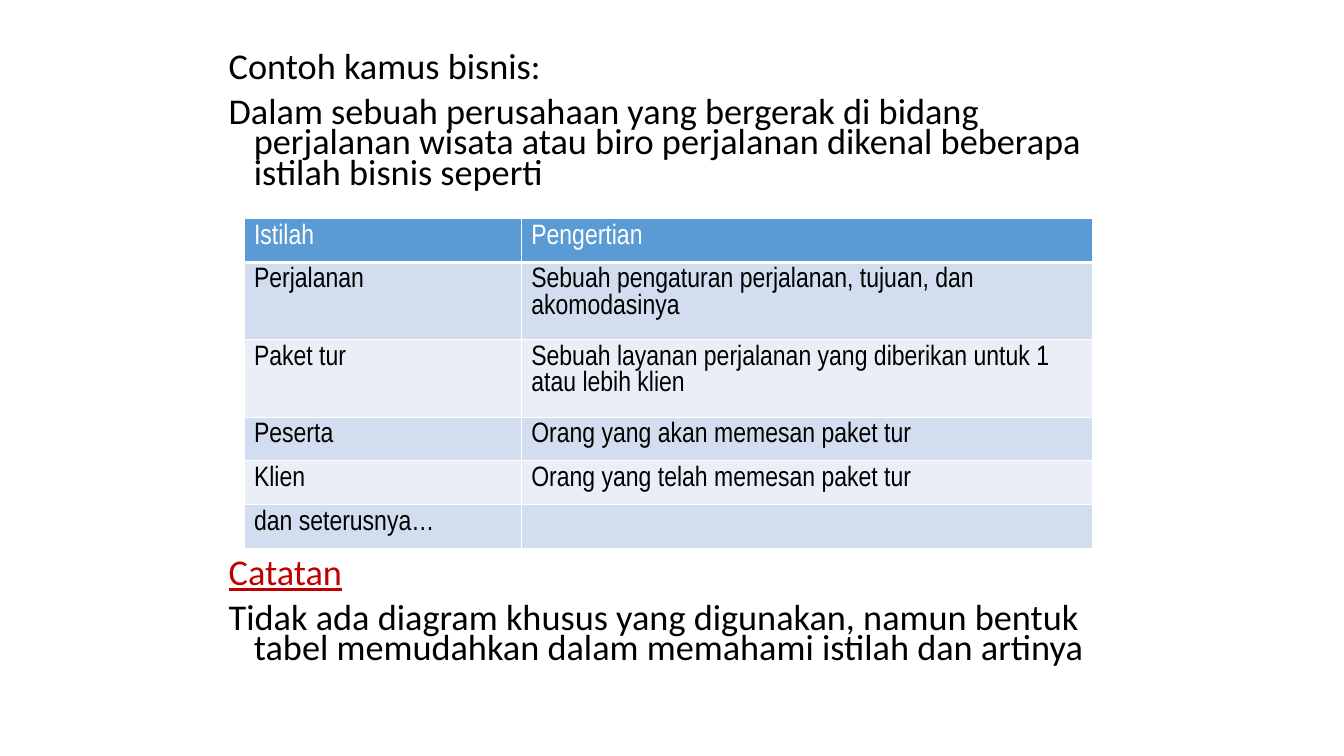
from lxml import etree
from pptx import Presentation
from pptx.dml.color import RGBColor
from pptx.enum.text import MSO_ANCHOR
from pptx.oxml.ns import qn
from pptx.util import Inches, Pt

TOP = MSO_ANCHOR.TOP
BLANK_LAYOUT = 6
BLACK, WHITE, RED = "000000", "FFFFFF", "C00000"
HEADER, BAND_DARK, BAND_LIGHT = "5B9BD5", "D2DEEF", "EAEFF7"


def rgb(value):
    return RGBColor.from_string(value)


class SlideBuilder:
    body_font, body_size = "Calibri", 25.9
    table_font, table_size = "Arial Narrow", 20

    def __init__(self, slide):
        self.s = slide

    def run(self, p, text, font, size, color, underline=False):
        r = p.add_run()
        r.text = text
        r.font.name, r.font.size = font, Pt(size)
        r.font.color.rgb = rgb(color)
        r.font.bold = False
        r.font.underline = underline

    def text(self, left, top, width, height, paragraphs):
        """Hanging paragraphs given as (text, color, underline)."""
        sp = self.s.shapes.add_textbox(Inches(left), Inches(top), Inches(width), Inches(height))
        tf = sp.text_frame
        tf.word_wrap = True
        tf.vertical_anchor = TOP
        for i, (text, color, underline) in enumerate(paragraphs):
            p = tf.add_paragraph() if i else tf.paragraphs[0]
            pPr = p._p.get_or_add_pPr()
            pPr.set("marL", str(Inches(0.25)))
            pPr.set("indent", str(Inches(-0.25)))
            p.line_spacing = 0.7
            p.space_before = Pt(10 if i else 0)
            self.run(p, text, self.body_font, self.body_size, color, underline)

    def borders(self, cell, bottom):
        tcPr = cell._tc.get_or_add_tcPr()
        widths = {"a:lnL": 1, "a:lnR": 1, "a:lnT": 1, "a:lnB": bottom}
        for i, (tag, width) in enumerate(widths.items()):
            ln = etree.Element(qn(tag), w=str(Pt(width)))
            fill = etree.SubElement(ln, qn("a:solidFill"))
            etree.SubElement(fill, qn("a:srgbClr"), val=WHITE)
            tcPr.insert(i, ln)

    def table(self, left, top, col_widths, row_height, rows):
        frame = self.s.shapes.add_table(
            len(rows), len(col_widths), Inches(left), Inches(top),
            Inches(sum(col_widths)), Inches(row_height * len(rows)))
        table = frame.table
        for column, width in zip(table.columns, col_widths):
            column.width = Inches(width)
        for i, values in enumerate(rows):
            table.rows[i].height = Inches(row_height)
            band = BAND_DARK if i % 2 else BAND_LIGHT
            for j, text in enumerate(values):
                cell = table.cell(i, j)
                cell.fill.solid()
                cell.fill.fore_color.rgb = rgb(band if i else HEADER)
                self.borders(cell, bottom=1 if i else 3)
                if text:
                    self.run(cell.text_frame.paragraphs[0], text, self.table_font,
                             self.table_size, BLACK if i else WHITE)


def main():
    prs = Presentation()
    prs.slide_width, prs.slide_height = Inches(13.33), Inches(7.5)
    slide = SlideBuilder(prs.slides.add_slide(prs.slide_layouts[BLANK_LAYOUT]))

    # Introduction
    slide.text(2.17, 0.5, 9, 1.5, [
        ("Contoh kamus bisnis:", BLACK, False),
        ("Dalam sebuah perusahaan yang bergerak di bidang perjalanan wisata atau "
         "biro perjalanan dikenal beberapa istilah bisnis seperti", BLACK, False),
    ])

    # Glossary
    slide.table(2.42, 2.17, [2.75, 5.67], 0.41, [
        ("Istilah", "Pengertian"),
        ("Perjalanan", "Sebuah pengaturan perjalanan, tujuan, dan akomodasinya"),
        ("Paket tur", "Sebuah layanan perjalanan yang diberikan untuk 1 atau lebih klien"),
        ("Peserta", "Orang yang akan memesan paket tur"),
        ("Klien", "Orang yang telah memesan paket tur"),
        ("dan seterusnya…", ""),
    ])

    # Note
    slide.text(2.17, 5.52, 9, 1.56, [
        ("Catatan", RED, True),
        ("Tidak ada diagram khusus yang digunakan, namun bentuk tabel memudahkan "
         "dalam memahami istilah dan artinya", BLACK, False),
    ])

    prs.save("out.pptx")


if __name__ == "__main__":
    main()
